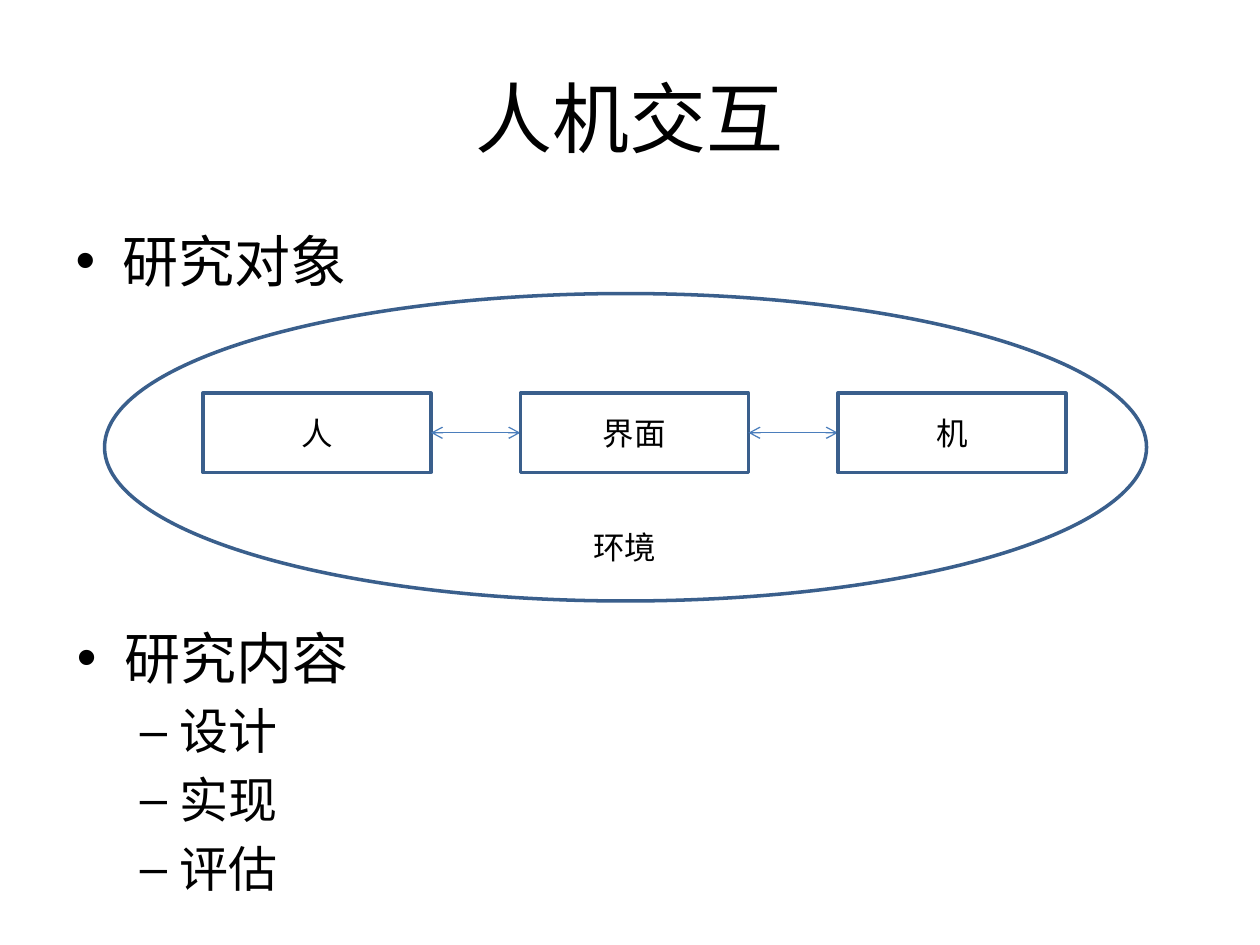
import dataclasses
import typing

import lxml.etree
import pptx
import pptx.dml.color
import pptx.enum.shapes
import pptx.enum.text
import pptx.oxml.ns
import pptx.util

Inches = pptx.util.Inches
Pt = pptx.util.Pt
SHAPES = pptx.enum.shapes.MSO_SHAPE
ALIGN = pptx.enum.text.PP_ALIGN
ANCHOR = pptx.enum.text.MSO_ANCHOR
AUTO_SIZE = pptx.enum.text.MSO_AUTO_SIZE

COLORS = {"text": "000000", "outline": "3A5F8C", "arrow": "4B7EBC"}
FONT = "Calibri"
BOX_LEFT, BOX_TOP, BOX_W, BOX_H = 1.61, 3.12, 1.81, 0.63
BOX_STEP = 2.52
LEVEL_SIZES = (32, 28)


@dataclasses.dataclass
class Area:
    left: float
    top: float
    width: float
    height: float

    def lengths(self) -> list:
        return [Inches(v) for v in dataclasses.astuple(self)]


@dataclasses.dataclass
class Item:
    text: str
    level: int = 0


def rgb(name: str) -> pptx.dml.color.RGBColor:
    return pptx.dml.color.RGBColor.from_string(COLORS[name])


def write(p, text: str, size: float) -> None:
    r = p.add_run()
    r.text = text
    for name, value in {"name": FONT, "size": Pt(size)}.items():
        setattr(r.font, name, value)
    r.font.color.rgb = rgb("text")


def place(sp, area: Area) -> None:
    for name, value in zip(("left", "top", "width", "height"), area.lengths()):
        setattr(sp, name, value)


def fill_list(sp, area: Area, items: typing.List[Item]) -> None:
    place(sp, area)
    tf = sp.text_frame
    tf.auto_size = AUTO_SIZE.NONE
    for i, item in enumerate(items):
        p = tf.add_paragraph() if i else tf.paragraphs[0]
        p.level = item.level
        write(p, item.text, LEVEL_SIZES[item.level])


def add_outline(s, kind, area: Area, text: str = "") -> None:
    """Add an unfilled shape, with centred text if any is given."""
    sp = s.shapes.add_shape(kind, *area.lengths())
    sp.shadow.inherit = False
    sp.fill.background()
    sp.line.color.rgb = rgb("outline")
    sp.line.width = Pt(2)
    if text:
        sp.text_frame.vertical_anchor = ANCHOR.MIDDLE
        p = sp.text_frame.paragraphs[0]
        p.alignment = ALIGN.CENTER
        write(p, text, 18)


def add_double_arrow(s, x1: float, x2: float, y: float) -> None:
    line = s.shapes.add_connector(
        pptx.enum.shapes.MSO_CONNECTOR.STRAIGHT,
        Inches(x1), Inches(y), Inches(x2), Inches(y))
    line.line.color.rgb = rgb("arrow")
    line.line.width = Pt(0.75)
    qn = pptx.oxml.ns.qn
    ln = line.line._get_or_add_ln()
    for end in ("a:headEnd", "a:tailEnd"):
        lxml.etree.SubElement(ln, qn(end), type="arrow")
    lxml.etree.SubElement(line._element.spPr, qn("a:effectLst"))


def main() -> None:
    prs = pptx.Presentation()
    prs.slide_width, prs.slide_height = Inches(10), Inches(7.5)
    s = prs.slides.add_slide(prs.slide_layouts.get_by_name("Two Content"))
    title, objects, contents = list(s.placeholders)[:3]

    place(title, Area(0.5, 0.3, 9, 1.25))
    write(title.text_frame.paragraphs[0], "人机交互", 44)
    fill_list(objects, Area(0.5, 1.75, 9, 0.98), [Item("研究对象")])
    fill_list(contents, Area(0.51, 4.9, 9, 2.47),
              [Item("研究内容"), Item("设计", 1), Item("实现", 1), Item("评估", 1)])

    add_outline(s, SHAPES.OVAL, Area(0.83, 2.33, 8.27, 2.44))
    parts = ("人", "界面", "机")
    for i, text in enumerate(parts):
        left = BOX_LEFT + i * BOX_STEP
        add_outline(s, SHAPES.RECTANGLE, Area(left, BOX_TOP, BOX_W, BOX_H), text)
        if i < len(parts) - 1:
            add_double_arrow(s, left + BOX_W, left + BOX_STEP, BOX_TOP + BOX_H / 2)

    environment = s.shapes.add_textbox(*Area(4.61, 4.14, 0.71, 0.4).lengths())
    tf = environment.text_frame
    tf.word_wrap = False
    tf.auto_size = AUTO_SIZE.SHAPE_TO_FIT_TEXT
    write(tf.paragraphs[0], "环境", 18)

    prs.save("out.pptx")


if __name__ == "__main__":
    main()
